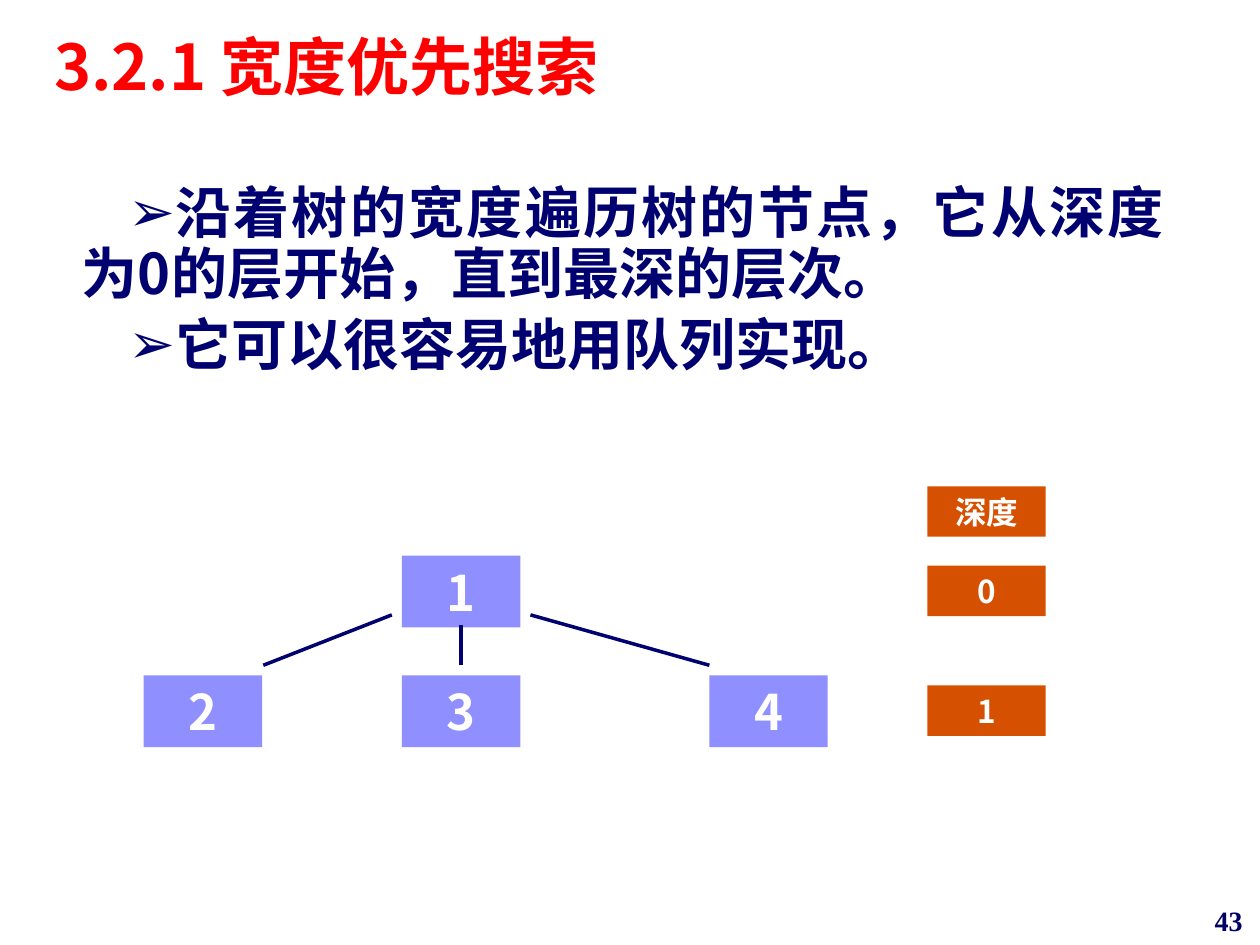
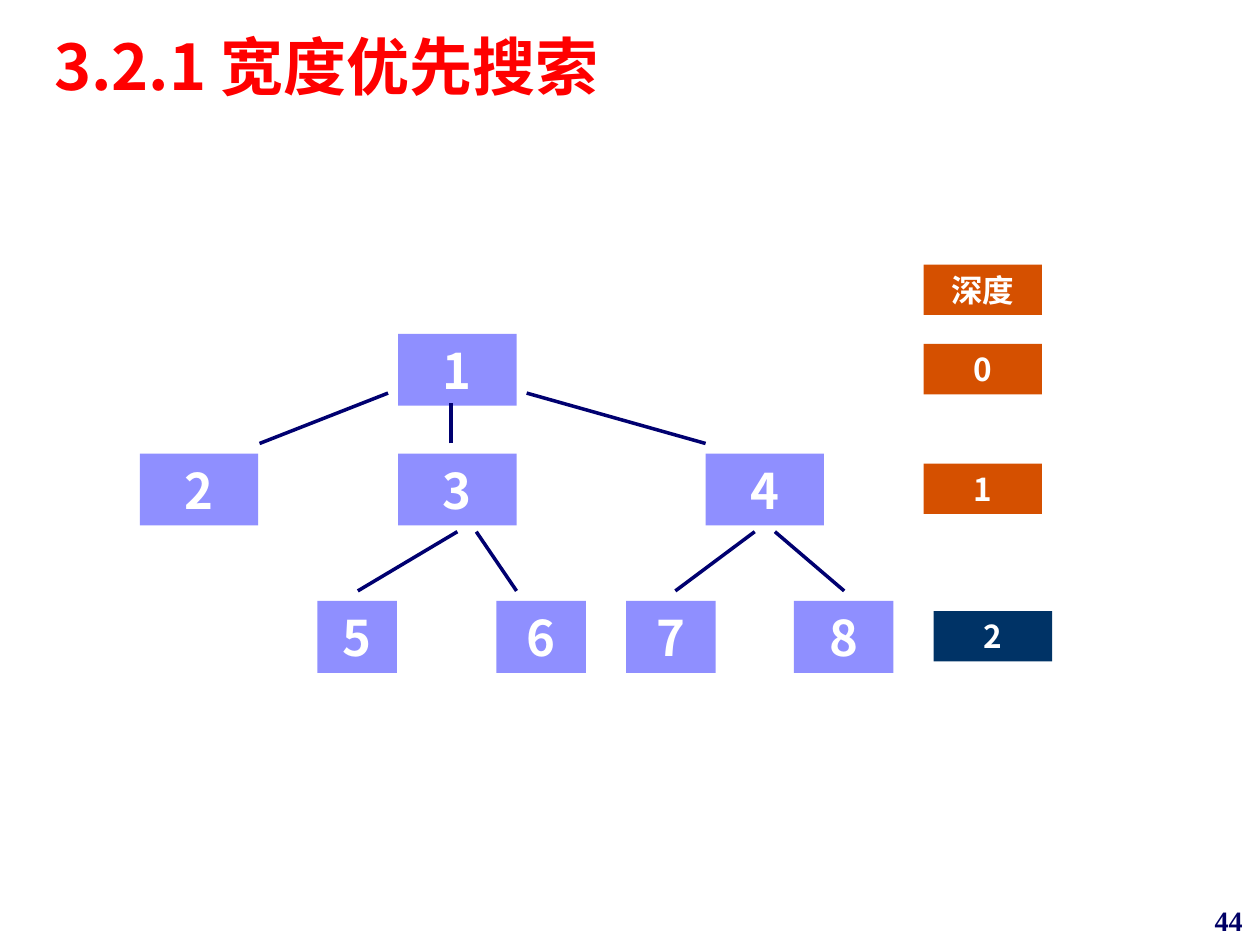
from dataclasses import dataclass

import lxml.etree
import pptx
import pptx.dml.color
import pptx.enum.shapes
import pptx.enum.text
import pptx.oxml.ns
import pptx.util

Inches = pptx.util.Inches
Align = pptx.enum.text.PP_ALIGN
Anchor = pptx.enum.text.MSO_ANCHOR
AutoSize = pptx.enum.text.MSO_AUTO_SIZE


@dataclass(frozen=True)
class Theme:
    font: str = "Noto Sans CJK SC"
    number_font: str = "Times New Roman"
    title_color: str = "FF0000"
    ink: str = "000070"
    number_color: str = "000066"
    node_fill: str = "8F8FFF"
    depth_fill: str = "D55000"
    deepest_fill: str = "003366"
    light: str = "FFFFFF"
    title_size: int = 36
    body_size: int = 32
    node_size: int = 28
    depth_size: int = 18
    number_size: int = 16
    line_width: int = 2


TITLE = "3.2.1 宽度优先搜索"
POINTS = [
    "沿着树的宽度遍历树的节点，它从深度为0的层开始，直到最深的层次。",
    "它可以很容易地用队列实现。",
]
BOX_WIDTH = 0.94
NODE_HEIGHT = 0.57
DEPTH_HEIGHT = 0.4
CHILD_OFFSETS = {"2": 0, "3": 2.05, "4": 4.49}
DEPTH_OFFSETS = {"深度": 0, "0": 0.63, "1": 1.58}


def rgb(color):
    return pptx.dml.color.RGBColor.from_string(color)


def add_element(parent, tag, **attributes):
    return lxml.etree.SubElement(parent, pptx.oxml.ns.qn(tag), **attributes)


class Deck:
    def __init__(self, theme):
        self.theme = theme
        self.presentation = pptx.Presentation()
        self.presentation.slide_width = Inches(10)
        self.presentation.slide_height = Inches(7.5)
        self.slide = None

    def start_slide(self, layout_index, number):
        layout = self.presentation.slide_layouts[layout_index]
        self.slide = self.presentation.slides.add_slide(layout)
        self.title(TITLE)
        self.page_number(number)

    def place(self, shape, left, top, width, height):
        shape.left, shape.top = Inches(left), Inches(top)
        shape.width, shape.height = Inches(width), Inches(height)

    def format_text(self, shape, size, color, alignment, anchor, font=None):
        frame = shape.text_frame
        frame.word_wrap = True
        frame.auto_size = AutoSize.NONE
        frame.vertical_anchor = anchor
        name = font or self.theme.font
        for paragraph in frame.paragraphs:
            paragraph.alignment = alignment
            for run in paragraph.runs:
                run.font.size = pptx.util.Pt(size)
                run.font.bold = True
                run.font.color.rgb = rgb(color)
                run.font.name = name
                add_element(run.font._element, "a:ea", typeface=name)

    def title(self, text):
        shape = self.slide.shapes.title
        self.place(shape, 0.33, 0.17, 8.5, 1.25)
        shape.text_frame.text = text
        self.format_text(shape, self.theme.title_size, self.theme.title_color, Align.LEFT, Anchor.TOP)

    def bullets(self, lines):
        shape = self.slide.placeholders[1]
        self.place(shape, 0.17, 1.42, 9.17, 1.83)
        frame = shape.text_frame
        frame.text = "\n".join(lines)
        for index, paragraph in enumerate(frame.paragraphs):
            properties = paragraph._p.get_or_add_pPr()
            properties.set("marL", str(Inches(0.38)))
            properties.set("indent", str(Inches(0.37)))
            bullet_color = add_element(properties, "a:buClr")
            add_element(bullet_color, "a:srgbClr", val=self.theme.ink)
            add_element(properties, "a:buChar", char="➢")
            paragraph.line_spacing = 0.9
            paragraph.space_before = pptx.util.Pt(6 if index else 0)
        self.format_text(shape, self.theme.body_size, self.theme.ink, Align.JUSTIFY, Anchor.TOP)
        frame.auto_size = AutoSize.TEXT_TO_FIT_SHAPE

    def page_number(self, number):
        shape = self.slide.shapes.add_textbox(Inches(7.88), Inches(7.11), Inches(2.08), Inches(0.39))
        shape.text_frame.text = str(number)
        self.format_text(shape, self.theme.number_size, self.theme.number_color,
                         Align.RIGHT, Anchor.MIDDLE, self.theme.number_font)

    def box(self, text, left, top, width, height, fill, size):
        shape = self.slide.shapes.add_shape(
            pptx.enum.shapes.MSO_SHAPE.RECTANGLE, Inches(left), Inches(top), Inches(width), Inches(height))
        shape.shadow.inherit = False
        shape.fill.solid()
        shape.fill.fore_color.rgb = rgb(fill)
        shape.line.fill.background()
        shape.text_frame.text = text
        self.format_text(shape, size, self.theme.light, Align.CENTER, Anchor.MIDDLE)

    def node(self, text, left, top, width=BOX_WIDTH):
        self.box(text, left, top, width, NODE_HEIGHT, self.theme.node_fill, self.theme.node_size)

    def depth(self, text, left, top, fill=None):
        self.box(text, left, top, BOX_WIDTH, DEPTH_HEIGHT,
                 fill or self.theme.depth_fill, self.theme.depth_size)

    def branch(self, start_x, start_y, end_x, end_y):
        connector = self.slide.shapes.add_connector(
            pptx.enum.shapes.MSO_CONNECTOR.STRAIGHT,
            Inches(start_x), Inches(start_y), Inches(end_x), Inches(end_y))
        connector.line.color.rgb = rgb(self.theme.ink)
        connector.line.width = pptx.util.Pt(self.theme.line_width)
        add_element(connector._element.spPr, "a:effectLst")

    def top_levels(self, left, top, middle_branch):
        self.node("1", left + CHILD_OFFSETS["3"], top + 0.55)
        for text, offset in CHILD_OFFSETS.items():
            self.node(text, left + offset, top + 1.5)
        for child_x, root_x, root_y in ((0.95, 1.97, 1.02),
                                        (middle_branch, middle_branch, 1.1),
                                        (4.49, 3.07, 1.02)):
            self.branch(left + child_x, top + 1.42, left + root_x, top + root_y)
        for text, offset in DEPTH_OFFSETS.items():
            self.depth(text, left + 6.22, top + offset)

    def third_level(self):
        for text, left, width, child_x, parent_x in (("5", 2.52, 0.63, 2.84, 3.63),
                                                     ("6", 3.94, 0.71, 4.1, 3.78),
                                                     ("7", 4.97, 0.71, 5.36, 5.99),
                                                     ("8", 6.3, 0.79, 6.7, 6.15)):
            self.node(text, left, 4.77, width)
            self.branch(child_x, 4.69, parent_x, 4.22)
        self.depth("2", 7.41, 4.85, self.theme.deepest_fill)


def main():
    deck = Deck(Theme())

    deck.start_slide(1, 43)
    deck.bullets(POINTS)
    deck.top_levels(1.14, 3.86, middle_branch=2.52)

    deck.start_slide(5, 44)
    deck.top_levels(1.11, 2.1, middle_branch=2.47)
    deck.third_level()

    deck.presentation.save("out.pptx")


if __name__ == "__main__":
    main()
